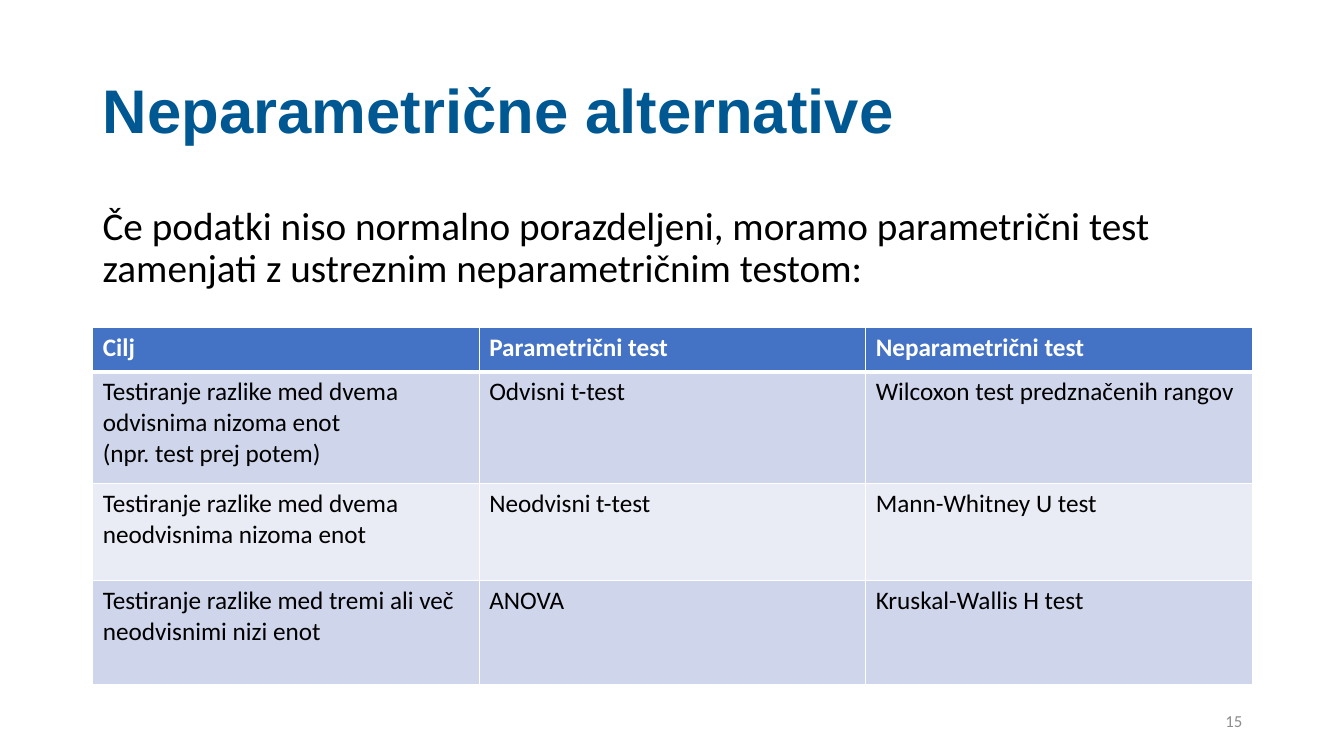
"""Build a slide that pairs parametric tests with their nonparametric alternatives."""
from dataclasses import dataclass
from typing import Optional

from lxml.etree import SubElement
from pptx import Presentation
from pptx.dml.color import RGBColor
from pptx.enum.text import MSO_ANCHOR as Anchor, MSO_AUTO_SIZE as AutoSize, PP_ALIGN as Align
from pptx.oxml.ns import qn
from pptx.table import _Cell as Cell
from pptx.text.text import TextFrame
from pptx.util import Inches, Pt


@dataclass(frozen=True)
class Theme:
    heading_font: str = "Arial"
    body_font: str = "Calibri"
    title_color: str = "005892"
    text_color: str = "000000"
    number_color: str = "8C8C8C"
    white: str = "FFFFFF"
    header_fill: str = "4472C4"
    band_fills: tuple[str, str] = ("CFD5EA", "E9EBF5")
    title_size: int = 44
    body_size: int = 28
    table_size: int = 18
    number_size: int = 12
    border_width: int = 1
    header_border_width: int = 3


@dataclass(frozen=True)
class TestRow:
    goal: str
    parametric: str
    nonparametric: str
    height: float

    def texts(self) -> tuple[str, str, str]:
        return self.goal, self.parametric, self.nonparametric


THEME = Theme()
LEFT, WIDTH = 0.92, 11.5
ROWS = (
    TestRow("Cilj", "Parametrični test", "Neparametrični test", 0.44),
    TestRow("Testiranje razlike med dvema odvisnima nizoma enot\n(npr. test prej potem)",
            "Odvisni t-test", "Wilcoxon test predznačenih rangov", 1.11),
    TestRow("Testiranje razlike med dvema neodvisnima nizoma enot",
            "Neodvisni t-test", "Mann-Whitney U test", 0.96),
    TestRow("Testiranje razlike med tremi ali več neodvisnimi nizi enot",
            "ANOVA", "Kruskal-Wallis H test", 1.03),
)


def write_text(frame: TextFrame, text: str, *, size: int, color: str = THEME.text_color,
               font: str = THEME.body_font, bold: bool = False, align: Align = Align.LEFT,
               anchor: Anchor = Anchor.TOP, line_spacing: Optional[float] = None) -> None:
    frame.word_wrap = True
    frame.vertical_anchor = anchor
    paragraph = frame.paragraphs[0]
    paragraph.alignment = align
    paragraph.line_spacing = line_spacing
    for index, line in enumerate(text.splitlines()):
        if index:
            paragraph.add_line_break()
        run = paragraph.add_run()
        run.text = line
        run.font.name = font
        run.font.size = Pt(size)
        run.font.bold = bold
        run.font.color.rgb = RGBColor.from_string(color)


def style_cell(cell: Cell, fill: str, top_width: int, bottom_width: int) -> None:
    properties = cell._tc.get_or_add_tcPr()
    widths = {"a:lnL": THEME.border_width, "a:lnR": THEME.border_width,
              "a:lnT": top_width, "a:lnB": bottom_width}
    for tag, width in widths.items():
        border = SubElement(properties, qn(tag), w=str(Pt(width)))
        solid_fill = SubElement(border, qn("a:solidFill"))
        SubElement(solid_fill, qn("a:srgbClr"), val=THEME.white)
    cell.fill.solid()
    cell.fill.fore_color.rgb = RGBColor.from_string(fill)


def add_test_table(slide, rows: tuple[TestRow, ...]) -> None:
    column_count = len(rows[0].texts())
    height = sum(row.height for row in rows)
    table = slide.shapes.add_table(len(rows), column_count, Inches(LEFT), Inches(3.25),
                                   Inches(WIDTH), Inches(height)).table
    for column in table.columns:
        column.width = Inches(WIDTH / column_count)
    for row_index, row in enumerate(rows):
        table.rows[row_index].height = Inches(row.height)
        header = row_index == 0
        fill = THEME.header_fill if header else THEME.band_fills[(row_index - 1) % 2]
        top_width = THEME.header_border_width if row_index == 1 else THEME.border_width
        bottom_width = THEME.header_border_width if header else THEME.border_width
        for column_index, text in enumerate(row.texts()):
            cell = table.cell(row_index, column_index)
            style_cell(cell, fill, top_width, bottom_width)
            write_text(cell.text_frame, text, size=THEME.table_size, bold=header,
                       color=THEME.white if header else THEME.text_color)


def main() -> None:
    presentation = Presentation()
    presentation.slide_width, presentation.slide_height = Inches(13.33), Inches(7.5)
    slide = presentation.slides.add_slide(presentation.slide_layouts[5])

    title = slide.shapes.title
    title.left, title.top = Inches(LEFT), Inches(0.4)
    title.width, title.height = Inches(WIDTH), Inches(1.45)
    title.text_frame.auto_size = AutoSize.NONE
    write_text(title.text_frame, "Neparametrične alternative", size=THEME.title_size,
               color=THEME.title_color, font=THEME.heading_font, bold=True,
               anchor=Anchor.MIDDLE, line_spacing=0.9)

    introduction = slide.shapes.add_textbox(Inches(LEFT), Inches(2), Inches(WIDTH), Inches(1.1))
    write_text(introduction.text_frame,
               "Če podatki niso normalno porazdeljeni, moramo parametrični test "
               "zamenjati z ustreznim neparametričnim testom:",
               size=THEME.body_size, line_spacing=0.9)

    add_test_table(slide, ROWS)

    slide_number = slide.shapes.add_textbox(Inches(9.42), Inches(6.95), Inches(3), Inches(0.4))
    write_text(slide_number.text_frame, "15", size=THEME.number_size, color=THEME.number_color,
               align=Align.RIGHT, anchor=Anchor.MIDDLE)

    presentation.save("out.pptx")


if __name__ == "__main__":
    main()
